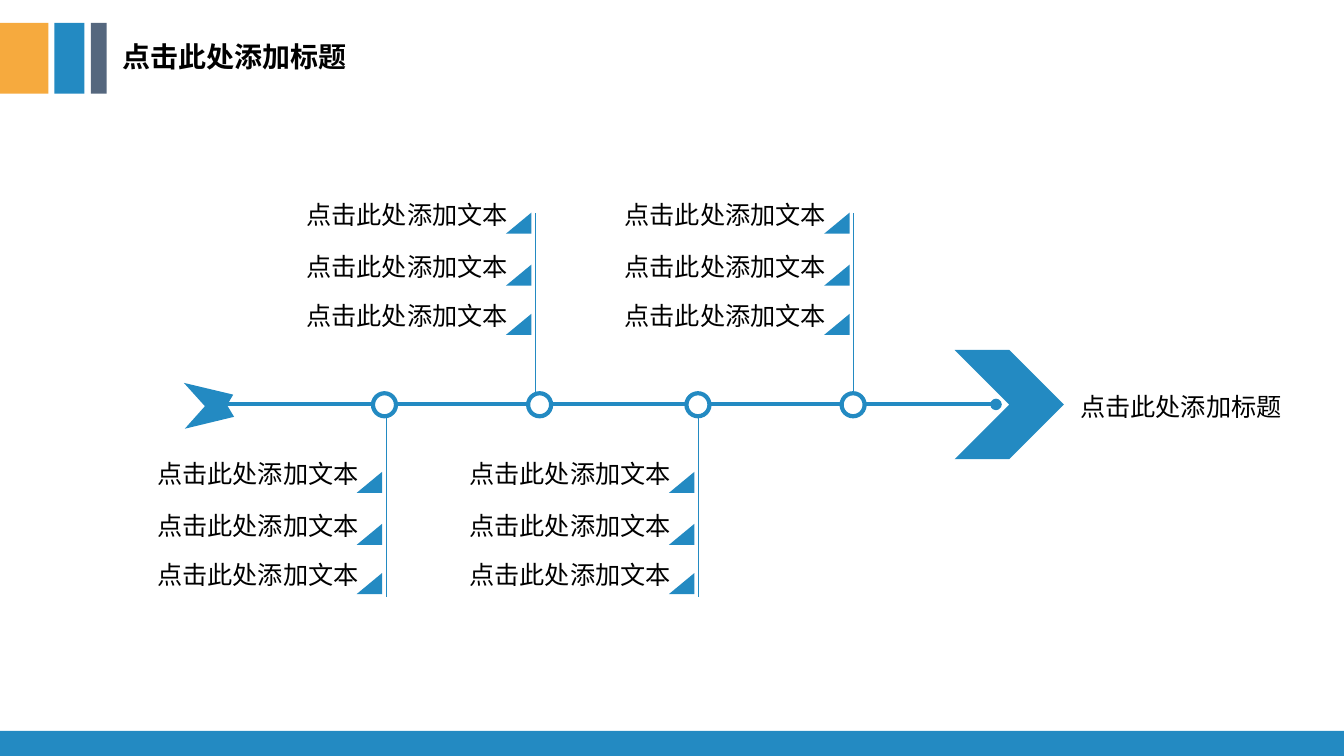
"""Build a fishbone timeline slide with four branches of three notes each."""
import lxml.etree
import pptx
import pptx.dml.color
import pptx.enum.shapes
import pptx.enum.text
import pptx.oxml.ns
import pptx.util

Cm = pptx.util.Cm
Pt = pptx.util.Pt
Kind = pptx.enum.shapes.MSO_SHAPE
Anchor = pptx.enum.text.MSO_ANCHOR
rgb = pptx.dml.color.RGBColor.from_string
qn = pptx.oxml.ns.qn

BLUE = "238AC2"
FONT = "Noto Sans CJK SC"
NOTE = "点击此处添加文本"
TITLE = "点击此处添加标题"

deck = pptx.Presentation()
deck.slide_width = Cm(33.87)
deck.slide_height = Cm(19.05)
slide = deck.slides.add_slide(deck.slide_layouts[6])
shapes = slide.shapes


def draw(kind, box, fill=BLUE):
    shape = shapes.add_shape(kind, *[Cm(side) for side in box])
    shape.shadow.inherit = False
    shape.fill.solid()
    shape.fill.fore_color.rgb = rgb(fill)
    shape.line.fill.background()
    return shape


def write(text, box, size=18, bold=False, anchor=Anchor.TOP):
    frame = shapes.add_textbox(*[Cm(side) for side in box]).text_frame
    frame.word_wrap = True
    frame.vertical_anchor = anchor
    para = frame.paragraphs[0]
    run = para.add_run()
    run.text = text
    style = {"name": FONT, "size": Pt(size), "bold": bold}
    for key, value in style.items():
        setattr(run.font, key, value)
    run.font.color.rgb = rgb("000000")
    east = lxml.etree.SubElement(run._r.get_or_add_rPr(), qn("a:ea"))
    east.set("typeface", FONT)
    return para


bars = [
    (0, 18.42, 33.87, 0.63, BLUE),
    (0, 0.58, 1.22, 1.78, "F6AA3E"),
    (1.37, 0.58, 0.76, 1.78, BLUE),
    (2.29, 0.58, 0.4, 1.78, "55677E"),
]
for *box, fill in bars:
    draw(Kind.RECTANGLE, box, fill)

head = write(TITLE, (2.84, 0.74, 12.4, 1.47), 20, True, Anchor.MIDDLE)
head.line_spacing = 0.9

draw(Kind.CHEVRON, (24.06, 8.82, 2.75, 2.75))

lines = [(25.1, 10.19, 5.64, 10.19, 2.75)]
branches = [
    (21.51, 21.21, 5.36, 9.91),
    (17.6, 17.3, 11.89, 10.49),
    (13.49, 13.31, 5.36, 9.91),
    (9.73, 9.4, 11.89, 10.49),
]
for stem, ring, top, root in branches:
    tip = top if top < root else 15.04
    lines.append((stem, root, stem, tip, 0.5))

for *ends, width in lines:
    link = shapes.add_connector(
        pptx.enum.shapes.MSO_CONNECTOR.STRAIGHT, *[Cm(end) for end in ends]
    )
    link.line.color.rgb = rgb(BLUE)
    link.line.width = Pt(width)
    lines_xml = link.line._get_or_add_ln()
    if width > 1:
        lxml.etree.SubElement(lines_xml, qn("a:headEnd")).set("type", "oval")
    lxml.etree.SubElement(link._element.spPr, qn("a:effectLst"))

for stem, ring, top, root in branches:
    node = draw(Kind.OVAL, (ring, 9.91, 0.58, 0.58), "FFFFFF")
    node.line.color.rgb = rgb(BLUE)
    node.line.width = Pt(3)
    for step in (0, 1.31, 2.55):
        flag = draw(Kind.ISOSCELES_TRIANGLE, (stem - 0.74, top + step, 0.64, 0.53))
        flag.adjustments[0] = 1
        write(NOTE, (stem - 6.02, top + step - 0.47, 6, 1.03))

write(TITLE, (26.97, 9.73, 6, 1.03))

for left, top, turn in [(4.78, 9.35, 300.7), (4.8, 9.88, 239.1)]:
    fin = draw(Kind.ISOSCELES_TRIANGLE, (left, top, 0.76, 1.22))
    fin.rotation = turn

deck.save("out.pptx")
